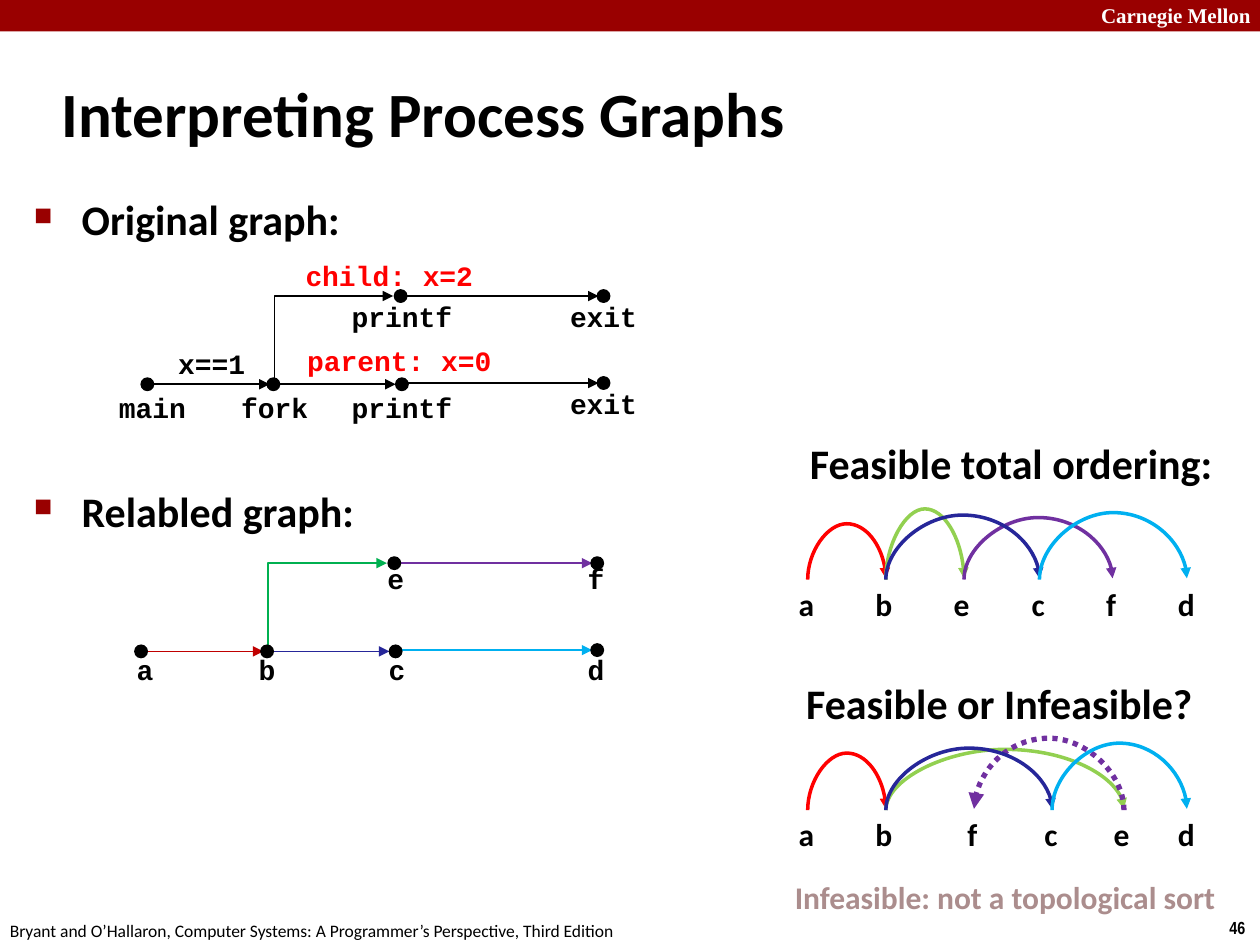
import lxml.etree
import pptx
import pptx.dml.color
import pptx.enum.dml
import pptx.enum.shapes
import pptx.enum.text
import pptx.oxml.ns
import pptx.util

Inches = pptx.util.Inches
Pt = pptx.util.Pt
qn = pptx.oxml.ns.qn

COLOURS = {
    "banner": "990000", "black": "000000", "white": "FFFFFF", "red": "FF0000",
    "dark red": "C00000", "green": "00B050", "lime": "92D050",
    "purple": "7030A0", "navy": "262699", "sky": "00B0F0", "muted": "AB8D8D",
}
FORMATS = {
    "banner": {"name": "Times New Roman", "size": Pt(12), "bold": True},
    "number": {"name": "Arial Narrow", "size": Pt(10), "bold": True},
    "footer": {"name": "Calibri", "size": Pt(10), "bold": False},
    "title": {"name": "Calibri", "size": Pt(36), "bold": True},
    "heading": {"name": "Calibri", "size": Pt(24), "bold": True},
    "letter": {"name": "Calibri", "size": Pt(18), "bold": True},
    "code": {"name": "Courier New", "size": Pt(16), "bold": True},
}


def rgb(colour):
    return pptx.dml.color.RGBColor.from_string(COLOURS[colour])


def add_element(parent, tag, **attributes):
    return lxml.etree.SubElement(parent, qn(tag), attributes)


class SlideBuilder:
    def __init__(self, slide):
        self.slide = slide

    def format_text(self, paragraph, style, colour):
        for attribute, value in FORMATS[style].items():
            setattr(paragraph.font, attribute, value)
        paragraph.font.color.rgb = rgb(colour)

    def text(self, words, box, style, colour="black", wrap=False, grow=True):
        shape = self.slide.shapes.add_textbox(*map(Inches, box))
        frame = shape.text_frame
        frame.word_wrap = wrap
        sizes = pptx.enum.text.MSO_AUTO_SIZE
        frame.auto_size = sizes.SHAPE_TO_FIT_TEXT if grow else sizes.NONE
        paragraph = frame.paragraphs[0]
        paragraph.text = words
        if style == "code":
            paragraph.alignment = pptx.enum.text.PP_ALIGN.CENTER
        self.format_text(paragraph, style, colour)
        return frame

    def bullets(self, lines, box, gap):
        shape = self.slide.shapes.add_textbox(*map(Inches, box))
        frame = shape.text_frame
        frame.word_wrap = True
        for index, words in enumerate(lines):
            paragraph = frame.add_paragraph() if index else frame.paragraphs[0]
            paragraph.text = words
            if index:
                paragraph.space_before = gap
            properties = paragraph._p.get_or_add_pPr()
            properties.set("marL", str(Inches(0.38)))
            properties.set("indent", str(-Inches(0.38)))
            colour = add_element(properties, "a:buClr")
            add_element(colour, "a:srgbClr", val=COLOURS["banner"])
            add_element(properties, "a:buSzPct", val="60000")
            add_element(properties, "a:buChar", char="■")
            self.format_text(paragraph, "heading", "black")

    def shape(self, kind, box, fill):
        shape = self.slide.shapes.add_shape(kind, *map(Inches, box))
        shape.shadow.inherit = False
        shape.fill.solid()
        shape.fill.fore_color.rgb = rgb(fill)
        return shape

    def banner(self, box):
        shape = self.shape(pptx.enum.shapes.MSO_SHAPE.RECTANGLE, box, "banner")
        shape.line.fill.background()

    def node(self, x, y):
        """Draw a dot centred on x, y."""
        box = (x - 0.05, y - 0.05, 0.1, 0.1)
        shape = self.shape(pptx.enum.shapes.MSO_SHAPE.OVAL, box, "black")
        shape.line.color.rgb = rgb("black")
        shape.line.width = Pt(0.75)

    def arrow(self, start, end, colour, width=1, kind="STRAIGHT"):
        connector = self.slide.shapes.add_connector(
            pptx.enum.shapes.MSO_CONNECTOR[kind], *map(Inches, (*start, *end)))
        connector.line.color.rgb = rgb(colour)
        connector.line.width = Pt(width)
        add_element(connector.line._get_or_add_ln(), "a:tailEnd", type="triangle")
        add_element(connector._element.spPr, "a:effectLst")
        return connector

    def turned_arrow(self, start, end, colour, width, kind):
        """Draw an upward arrow whose path leaves its start vertically."""
        (x1, y1), (x2, y2) = start, end
        middle_x, middle_y = (x1 + x2) / 2, (y1 + y2) / 2
        half_rise, half_run = (y1 - y2) / 2, abs(x2 - x1) / 2
        connector = self.arrow((middle_x - half_rise, middle_y - half_run),
                               (middle_x + half_rise, middle_y + half_run),
                               colour, width, kind)
        transform = connector._element.spPr.find(qn("a:xfrm"))
        rightward = x2 > x1
        transform.set("rot", str((90 if rightward else 270) * 60000))
        transform.set("flipV", "1")
        if rightward:
            transform.set("flipH", "1")
        return connector, connector._element.spPr.find(qn("a:prstGeom"))

    def elbow(self, start, end, colour):
        geometry = self.turned_arrow(start, end, colour, 1, "ELBOW")[1]
        geometry.set("prst", "bentConnector2")

    def arc(self, x1, x2, base, top, colour, dotted=False):
        rise = 0.01
        connector, geometry = self.turned_arrow(
            (x1, base), (x2, base - rise), colour, 3 if dotted else 2, "CURVE")
        if dotted:
            connector.line.dash_style = pptx.enum.dml.MSO_LINE.ROUND_DOT
        guides = geometry.find(qn("a:avLst"))
        bend = round((base - top) / rise * 100000)
        add_element(guides, "a:gd", name="adj1", fmla=f"val {bend}")

    def process_graph(self, dx, dy, colours, labels):
        def at(x, y):
            return x + dx, y + dy

        first, fork, child, parent = colours[:4]
        self.arrow(at(1.22, 3.05), at(2.14, 3.05), first)
        self.elbow(at(2.18, 3.05), at(3.12, 2.35), fork)
        self.arrow(at(3.21, 2.35), at(4.75, 2.35), child)
        self.arrow(at(2.22, 3.05), at(3.14, 3.05), parent)
        self.arrow(at(3.21, 3.04), at(4.75, 3.04), colours[4])
        for x, y in ((1.17, 3.05), (2.17, 3.05), (3.19, 3.05),
                     (3.18, 2.35), (4.79, 2.35), (4.79, 3.04)):
            self.node(*at(x, y))
        for words, centre, top, *colour in labels:
            self.text(words, (centre - 1.01, top, 2.02, 0.37), "code",
                      *colour, wrap=True)

    def ordering(self, letters, top, arcs):
        for letter, left in letters:
            self.text(letter, (left, top, 0.33, 0.4), "letter")
        for arc in arcs:
            x1, x2, peak, colour, *dotted = arc
            self.arc(x1, x2, top + 0.01, peak, colour, *dotted)


def main():
    presentation = pptx.Presentation()
    presentation.slide_width = Inches(10)
    presentation.slide_height = Inches(7.5)
    builder = SlideBuilder(
        presentation.slides.add_slide(presentation.slide_layouts[6]))

    # Banner, footer and title
    builder.banner((0, 0, 10, 0.25))
    builder.text("Carnegie Mellon", (8.64, -0.03, 1.43, 0.3), "banner",
                 "white", wrap=True)
    builder.text("46", (9.66, 7.23, 0.34, 0.27), "number")
    builder.text("Bryant and O’Hallaron, Computer Systems: A Programmer’s "
                 "Perspective, Third Edition", (-0.02, 7.25, 5.08, 0.27), "footer")
    title = builder.text("Interpreting Process Graphs", (0.39, 0.48, 8.3, 0.83),
                         "title", wrap=True, grow=False)
    title.vertical_anchor = pptx.enum.text.MSO_ANCHOR.MIDDLE
    builder.bullets(("Original graph:", "Relabled graph:"),
                    (0.17, 1.49, 5.14, 4.26), Pt(138))

    # Process graphs
    builder.process_graph(0, 0, ["black"] * 5, (
        ("main", 1.21, 3.05), ("fork", 2.18, 3.05), ("printf", 3.19, 3.05),
        ("printf", 3.19, 2.33), ("x==1", 1.68, 2.7), ("exit", 4.79, 2.33),
        ("exit", 4.79, 3.02), ("child: x=2", 3.09, 2, "red"),
        ("parent: x=0", 3.17, 2.68, "red")))
    builder.process_graph(
        -0.05, 2.12, ("dark red", "green", "purple", "navy", "sky"), (
            ("a", 1.15, 5.13), ("b", 2.12, 5.13), ("c", 3.15, 5.13),
            ("d", 4.73, 5.13), ("e", 3.14, 4.41), ("f", 4.73, 4.41)))

    # Feasible ordering
    builder.text("Feasible total ordering:", (6.33, 3.42, 3.44, 0.5), "heading")
    builder.ordering(
        (("a", 6.24), ("b", 6.85), ("e", 7.47), ("c", 8.09), ("f", 8.68),
         ("d", 9.25)), 4.59,
        ((6.41, 7.03, 4.15, "red"), (7.03, 7.65, 4.03, "lime"),
         (7.65, 8.83, 4.1, "purple"), (7.03, 8.25, 4.08, "navy"),
         (8.25, 9.42, 4.06, "sky")))

    # Infeasible ordering
    builder.text("Feasible or Infeasible?", (6.3, 5.33, 3.39, 0.5), "heading")
    builder.ordering(
        (("a", 6.24), ("b", 6.85), ("f", 7.58), ("c", 8.19), ("e", 8.74),
         ("d", 9.25)), 6.42,
        ((6.41, 7.03, 5.97, "red"), (7.03, 8.92, 5.94, "lime"),
         (8.92, 7.73, 5.85, "purple", True), (7.03, 8.35, 5.93, "navy"),
         (8.35, 9.42, 5.89, "sky")))
    builder.text("Infeasible: not a topological sort", (6.21, 6.92, 3.57, 0.4),
                 "letter", "muted")

    presentation.save("out.pptx")


if __name__ == "__main__":
    main()
